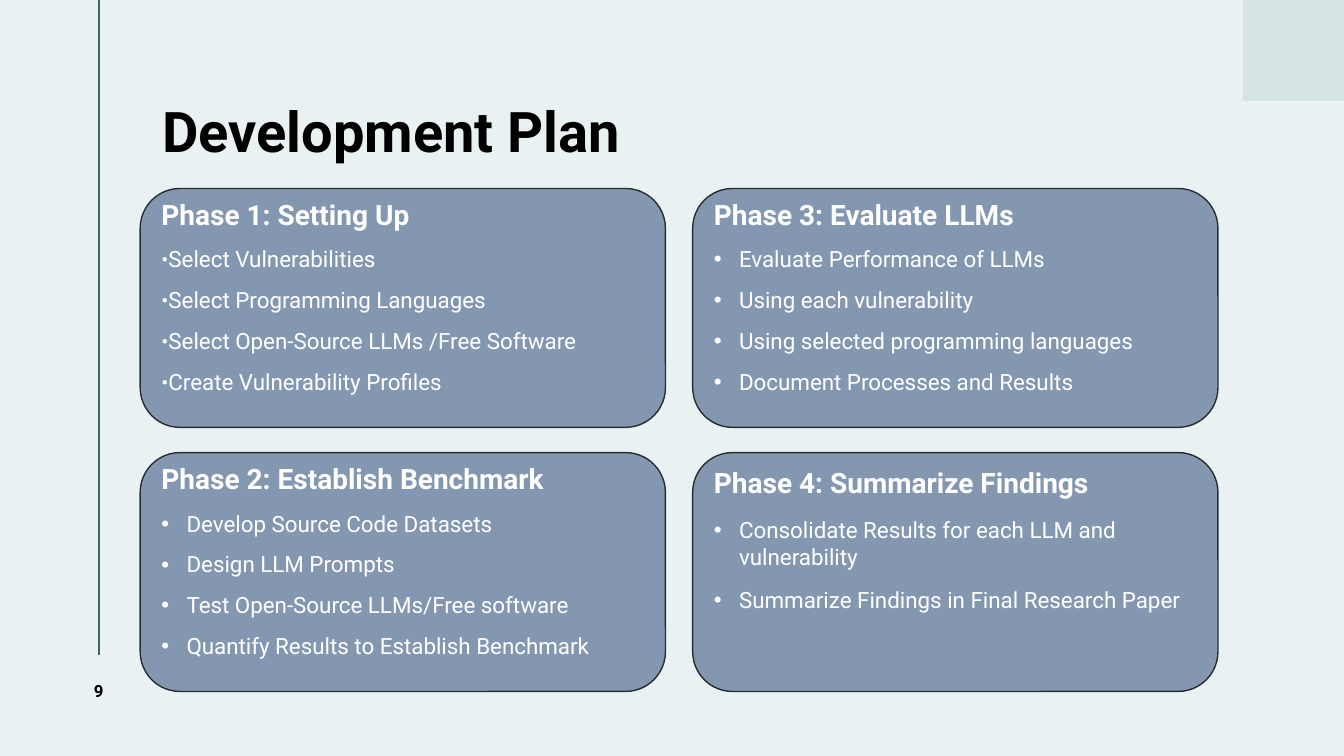
from dataclasses import dataclass
from lxml.etree import SubElement as Sub
from pptx import Presentation
from pptx.dml.color import RGBColor as Rgb
from pptx.enum.shapes import MSO_CONNECTOR as Link, MSO_SHAPE as Kind
from pptx.enum.text import MSO_ANCHOR as Anchor, PP_ALIGN as Align
from pptx.oxml.ns import qn
from pptx.util import Inches, Pt

TITLE = "Development Plan"
PAGE = "9"
PHASES = [
    {"cell": (0, 0), "head": "Phase 1: Setting Up", "typed": True, "lead": 0.9,
     "steps": ["Select Vulnerabilities", "Select Programming Languages",
               "Select Open-Source LLMs /Free Software",
               "Create Vulnerability Profiles"]},
    {"cell": (0, 1), "head": "Phase 2: Establish Benchmark", "typed": False, "lead": 0.9,
     "steps": ["Develop Source Code Datasets", "Design LLM Prompts",
               "Test Open-Source LLMs/Free software",
               "Quantify Results to Establish Benchmark"]},
    {"cell": (1, 0), "head": "Phase 3: Evaluate LLMs", "typed": False, "lead": 0.9,
     "steps": ["Evaluate Performance of LLMs", "Using each vulnerability",
               "Using selected programming languages",
               "Document Processes and Results"]},
    {"cell": (1, 1), "head": "Phase 4: Summarize Findings", "typed": False, "lead": 1.0,
     "steps": ["Consolidate Results for each LLM and vulnerability",
               "Summarize Findings in Final Research Paper"]},
]


@dataclass(frozen=True)
class Theme:
    font: str = "Roboto"
    back: str = "EAF1F2"
    rule: str = "40636A"
    block: str = "D5E3E5"
    card: str = "8497B0"
    edge: str = "272E2F"
    ink: str = "000000"
    pale: str = "FFFFFF"
    title: int = 40
    head: int = 20
    step: int = 16
    dot: int = 15
    page: int = 12


LOOK = Theme()
WIDE, HIGH = 13.33, 7.5
CARD = (5.21, 2.37)
TEXT = (4.81, 2.14)
GAP = (0.27, 0.25)
START = (1.39, 1.87)
PAD = (0.21, 0.13)
INDENT = 0.25
AFTER = 12


def box(*nums):
    return [Inches(n) for n in nums]


def paint(fill, tone):
    fill.solid()
    fill.fore_color.rgb = Rgb.from_string(tone)


def put(par, text, size, tone, bold=False):
    run = par.add_run()
    run.text = text
    font = run.font
    font.name, font.size, font.bold = LOOK.font, Pt(size), bold
    font.color.rgb = Rgb.from_string(tone)
    return run


def setup(frame, inset, anchor):
    frame.word_wrap = True
    frame.vertical_anchor = anchor
    (frame.margin_left, frame.margin_top,
     frame.margin_right, frame.margin_bottom) = box(*inset)


def panel(slide, kind, spot, tone, edge=None):
    shape = slide.shapes.add_shape(kind, *box(*spot))
    shape.shadow.inherit = False
    paint(shape.fill, tone)
    if edge:
        paint(shape.line.fill, edge)
        shape.line.width = Pt(1)
    else:
        shape.line.fill.background()


def hang(par, lead, dot):
    par.line_spacing, par.space_after = lead, Pt(AFTER)
    props = par._p.get_or_add_pPr()
    props.set("marL", str(Inches(INDENT)))
    props.set("indent", str(-Inches(INDENT)))
    if dot:
        Sub(props, qn("a:buFont"), typeface="Arial")
        Sub(props, qn("a:buChar"), char="•")
    else:
        Sub(props, qn("a:buNone"))


def frame_page(slide):
    paint(slide.background.fill, LOOK.back)
    line = slide.shapes.add_connector(Link.STRAIGHT, *box(0.98, 0, 0.98, 6.5))
    paint(line.line.fill, LOOK.rule)
    line.line.width = Pt(1.5)
    Sub(line._element.spPr, qn("a:effectLst"))
    panel(slide, Kind.RECTANGLE, (WIDE - 1, 0, 1, 1), LOOK.block)


def add_title(slide):
    name = slide.shapes.title
    name.left, name.top, name.width, name.height = box(1.61, 0.55, 10.01, 1.56)
    setup(name.text_frame, (0, 0.05, 0.1, 0.05), Anchor.MIDDLE)
    par = name.text_frame.paragraphs[0]
    par.alignment, par.line_spacing = Align.LEFT, 0.9
    put(par, TITLE, LOOK.title, LOOK.ink, True)


def add_page(slide):
    frame = slide.shapes.add_textbox(*box(0.45, 6.5, 1.06, 0.71)).text_frame
    setup(frame, (0.1, 0.05, 0.1, 0.05), Anchor.MIDDLE)
    par = frame.paragraphs[0]
    par.alignment = Align.CENTER
    run = put(par, PAGE, LOOK.page, LOOK.ink, True)
    run.font._element.set("spc", "150")


def add_phase(slide, phase):
    x, y = (s + n * (c + g) for s, n, c, g in zip(START, phase["cell"], CARD, GAP))
    panel(slide, Kind.ROUNDED_RECTANGLE, (x, y, *CARD), LOOK.card, LOOK.edge)
    spot = box(x + PAD[0], y + PAD[1], *TEXT)
    frame = slide.shapes.add_textbox(*spot).text_frame
    setup(frame, (0, 0, 0, 0), Anchor.TOP)
    par = frame.paragraphs[0]
    hang(par, phase["lead"], False)
    put(par, phase["head"], LOOK.head, LOOK.pale, True)
    for step in phase["steps"]:
        par = frame.add_paragraph()
        hang(par, phase["lead"], not phase["typed"])
        if phase["typed"]:
            put(par, "•", LOOK.dot, LOOK.pale)
        put(par, step, LOOK.step, LOOK.pale)


def main():
    deck = Presentation()
    deck.slide_width, deck.slide_height = box(WIDE, HIGH)
    slide = deck.slides.add_slide(deck.slide_layouts[5])
    frame_page(slide)
    add_title(slide)
    add_page(slide)
    for phase in PHASES:
        add_phase(slide, phase)
    deck.save("out.pptx")


if __name__ == "__main__":
    main()
